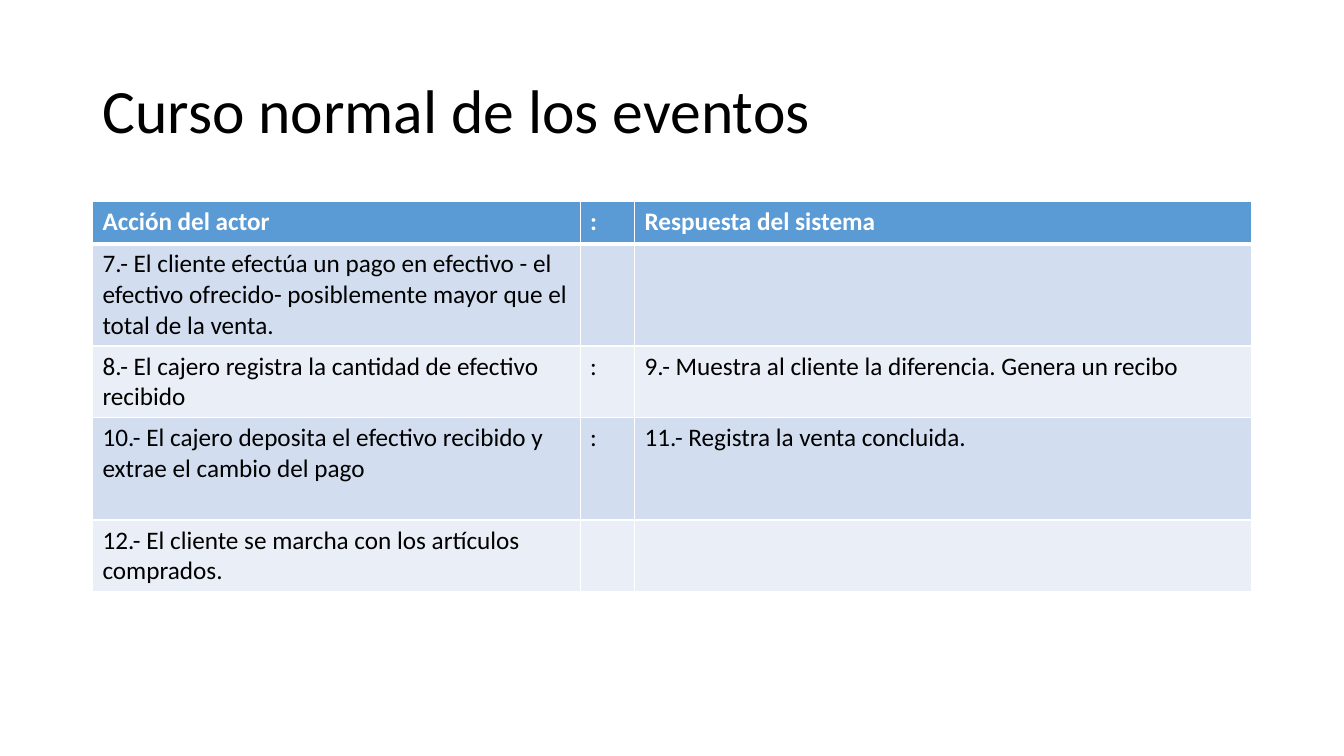
from dataclasses import dataclass

from lxml import etree
from pptx import Presentation
from pptx.dml.color import RGBColor
from pptx.enum.text import MSO_ANCHOR, PP_ALIGN
from pptx.oxml.ns import qn
from pptx.slide import Slide
from pptx.table import _Cell
from pptx.text.text import TextFrame
from pptx.util import Cm, Pt

LEFT = PP_ALIGN.LEFT
MIDDLE = MSO_ANCHOR.MIDDLE
TITLE_ONLY_LAYOUT = 5


@dataclass(frozen=True)
class Theme:
    font: str = "Calibri"
    title_size: int = 44
    table_size: int = 18
    text: str = "000000"
    header_text: str = "FFFFFF"
    header_fill: str = "5B9BD5"
    band_fills: tuple[str, str] = ("D2DEEF", "EAEFF7")
    border: str = "FFFFFF"
    thin_border: int = 1
    header_border: int = 3


@dataclass(frozen=True)
class EventRow:
    action: str
    separator: str = ""
    response: str = ""
    height: float = 1.06


THEME = Theme()
TABLE_LEFT, TABLE_TOP = 2.33, 5.08
COLUMN_WIDTHS = (12.29, 1.37, 15.56)
EVENT_ROWS = (
    EventRow("Acción del actor", ":", "Respuesta del sistema"),
    EventRow("7.- El cliente efectúa un pago en efectivo - el efectivo ofrecido- "
             "posiblemente mayor que el total de la venta."),
    EventRow("8.- El cajero registra la cantidad de efectivo recibido", ":",
             "9.- Muestra al cliente la diferencia. Genera un recibo"),
    EventRow("10.- El cajero deposita el efectivo recibido y extrae el cambio del pago", ":",
             "11.- Registra la venta concluida.", height=2.58),
    EventRow("12.- El cliente se marcha con los artículos comprados."),
)


def write_text(frame: TextFrame, text: str, *, size: int, color: str,
               bold: bool = False, line_spacing: float = 1.0) -> None:
    frame.word_wrap = True
    paragraph = frame.paragraphs[0]
    paragraph.alignment = LEFT
    paragraph.line_spacing = line_spacing
    paragraph.font.size = Pt(size)
    if text:
        run = paragraph.add_run()
        run.text = text
        run.font.name = THEME.font
        run.font.size = Pt(size)
        run.font.bold = bold
        run.font.color.rgb = RGBColor.from_string(color)


def add_borders(cell: _Cell, *, top: int, bottom: int) -> None:
    """Draw the four cell borders; must run before the cell is filled."""
    properties = cell._tc.get_or_add_tcPr()
    widths = {"a:lnL": THEME.thin_border, "a:lnR": THEME.thin_border,
              "a:lnT": top, "a:lnB": bottom}
    for tag, width in widths.items():
        line = etree.SubElement(properties, qn(tag), w=str(Pt(width)))
        fill = etree.SubElement(line, qn("a:solidFill"))
        etree.SubElement(fill, qn("a:srgbClr"), val=THEME.border)


def add_title(slide: Slide, text: str) -> None:
    title = slide.shapes.title
    title.left, title.top = Cm(TABLE_LEFT), Cm(1.01)
    title.width, title.height = Cm(29.21), Cm(3.68)
    title.text_frame.vertical_anchor = MIDDLE
    write_text(title.text_frame, text, size=THEME.title_size,
               color=THEME.text, line_spacing=0.9)


def add_event_table(slide: Slide) -> None:
    table = slide.shapes.add_table(
        len(EVENT_ROWS), len(COLUMN_WIDTHS), Cm(TABLE_LEFT), Cm(TABLE_TOP),
        Cm(sum(COLUMN_WIDTHS)), Cm(sum(row.height for row in EVENT_ROWS))).table
    table.horz_banding = False
    for column, width in zip(table.columns, COLUMN_WIDTHS):
        column.width = Cm(width)

    for index, event in enumerate(EVENT_ROWS):
        table.rows[index].height = Cm(event.height)
        is_header = index == 0
        fill = THEME.header_fill if is_header else THEME.band_fills[(index - 1) % 2]
        for column, text in enumerate((event.action, event.separator, event.response)):
            cell = table.cell(index, column)
            add_borders(
                cell,
                top=THEME.header_border if index == 1 else THEME.thin_border,
                bottom=THEME.header_border if is_header else THEME.thin_border)
            cell.fill.solid()
            cell.fill.fore_color.rgb = RGBColor.from_string(fill)
            write_text(cell.text_frame, text, size=THEME.table_size, bold=is_header,
                       color=THEME.header_text if is_header else THEME.text)


def main() -> None:
    presentation = Presentation()
    presentation.slide_width, presentation.slide_height = Cm(33.87), Cm(19.05)
    slide = presentation.slides.add_slide(presentation.slide_layouts[TITLE_ONLY_LAYOUT])
    add_title(slide, "Curso normal de los eventos")
    add_event_table(slide)
    presentation.save("out.pptx")


if __name__ == "__main__":
    main()
